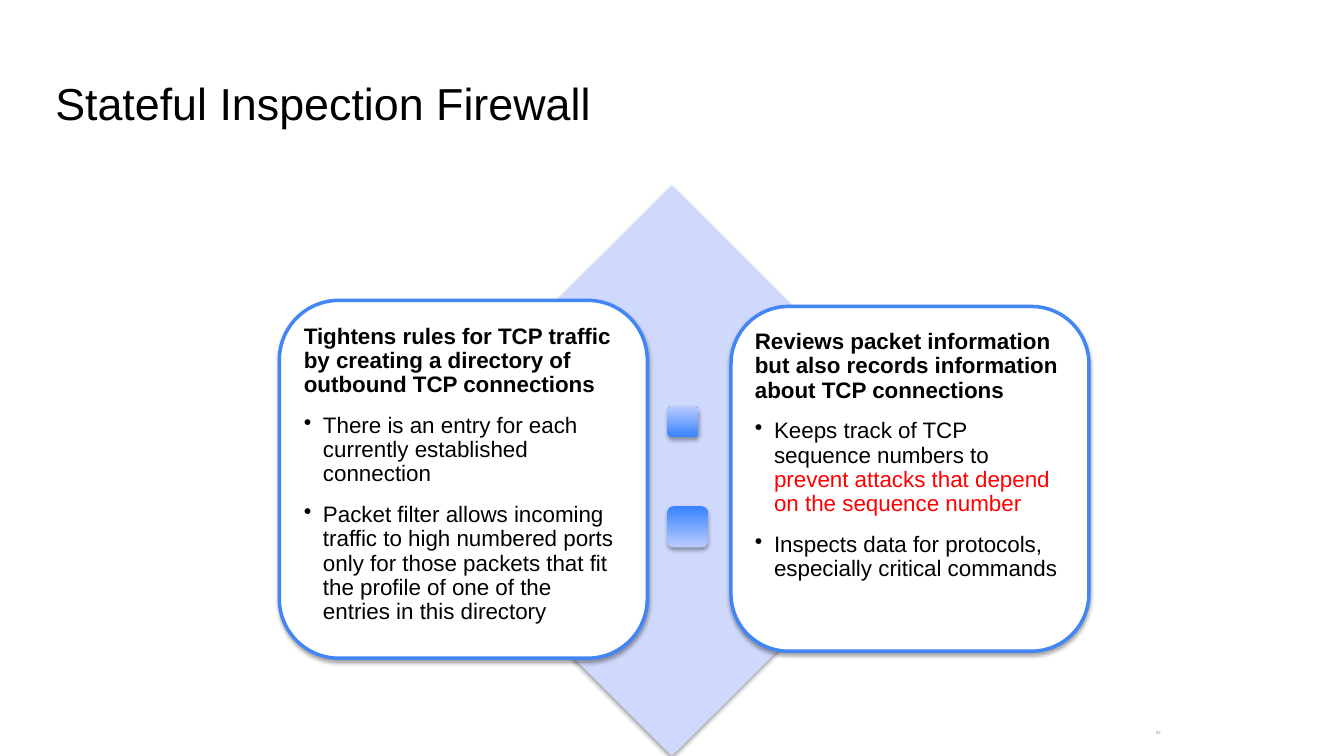
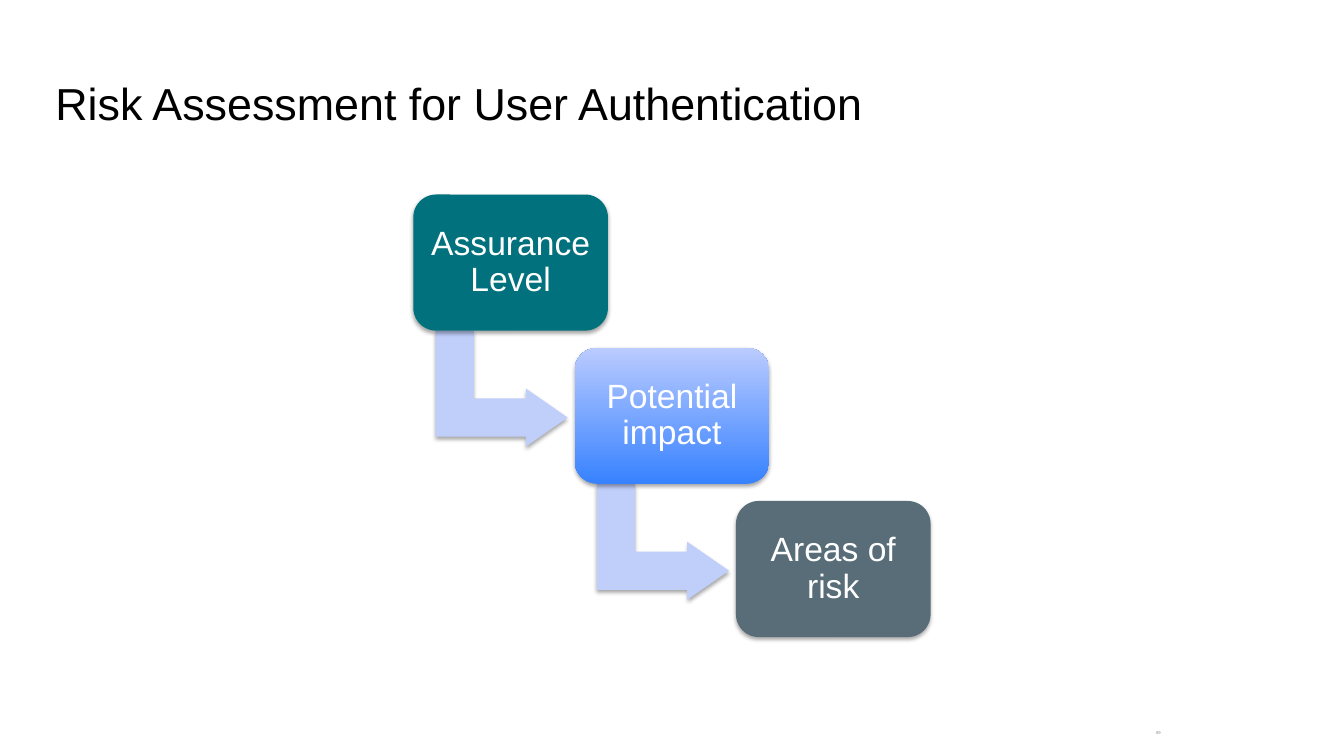
from lxml.etree import SubElement
from pptx import Presentation
from pptx.dml.color import RGBColor
from pptx.enum.shapes import MSO_SHAPE as Preset
from pptx.enum.text import MSO_ANCHOR as Anchor, PP_ALIGN as Align
from pptx.oxml.ns import qn
from pptx.util import Pt

PX = 9144
SLIDE_SIZE = (1333, 750)

BLACK = RGBColor(0x00, 0x00, 0x00)
WHITE = RGBColor(0xFF, 0xFF, 0xFF)
RED = RGBColor(0xFF, 0x00, 0x00)
GRAY = RGBColor(0x8C, 0x8C, 0x8C)
BLUE = RGBColor(0x42, 0x85, 0xF4)
TEAL = RGBColor(0x00, 0x71, 0x7D)
SLATE = RGBColor(0x58, 0x6D, 0x77)
PALE_DIAMOND = RGBColor(0xCF, 0xD9, 0xFB)
PALE_ARROW = RGBColor(0xC0, 0xCE, 0xFA)
GRADIENT_COLORS = (RGBColor(0x37, 0x82, 0xFF), RGBColor(0xBB, 0xCB, 0xFF))
UPWARD, DOWNWARD = 90, 270

TITLE_FONT = {"name": "Arial", "size": Pt(32), "color": BLACK}
NUMBER_FONT = {"name": "Arial", "size": Pt(3), "color": GRAY}
STEP_FONT = {"name": "Arial", "size": Pt(24), "color": WHITE}
CARD_FONT = {"name": "Arial", "size": Pt(16), "color": BLACK}
HEADING_FONT = {**CARD_FONT, "bold": True}
ALERT_FONT = {**CARD_FONT, "color": RED}

TITLE_FORMAT = {"alignment": Align.LEFT}
NUMBER_FORMAT = {"alignment": Align.RIGHT, "line_spacing": 0.8}
STEP_FORMAT = {"alignment": Align.CENTER, "line_spacing": 0.9}
CARD_FORMAT = {"alignment": Align.LEFT, "line_spacing": 0.9, "space_after": Pt(12)}

CARDS = [
    ((277, 298, 365, 355),
     "Tightens rules for TCP traffic by creating a directory of outbound TCP connections",
     [[("There is an entry for each currently established connection", CARD_FONT)],
      [("Packet filter allows incoming traffic to high numbered ports only for those "
        "packets that fit the profile of one of the entries in this directory", CARD_FONT)]]),
    ((725, 304, 355, 342),
     "Reviews packet information but also records information about TCP connections",
     [[("Keeps track of TCP sequence numbers to ", CARD_FONT),
       ("prevent attacks that depend on the sequence number", ALERT_FONT)],
      [("Inspects data for protocols, especially critical commands", CARD_FONT)]]),
]
STEPS = [("Assurance Level", TEAL), ("Potential impact", UPWARD), ("Areas of risk", SLATE)]


def emu(*lengths):
    return [length * PX for length in lengths]


def set_values(target, values):
    for name, value in values.items():
        if name == "color":
            target.color.rgb = value
        else:
            setattr(target, name, value)


def set_frame(frame, anchor, inset):
    margins = {f"margin_{side}": inset * PX for side in ("left", "top", "right", "bottom")}
    set_values(frame, {"word_wrap": True, "vertical_anchor": anchor, **margins})


def write_paragraph(paragraph, runs, values, bullet=False):
    if bullet:
        properties = paragraph._p.get_or_add_pPr()
        properties.set("marL", str(19 * PX))
        properties.set("indent", str(-19 * PX))
        SubElement(properties, qn("a:buChar"), char="•")
    set_values(paragraph, values)
    for text, font in runs:
        run = paragraph.add_run()
        run.text = text
        set_values(run.font, font)


def add_text(slide, box, text, font, values, anchor=Anchor.TOP, inset=10):
    frame = slide.shapes.add_textbox(*emu(*box)).text_frame
    set_frame(frame, anchor, inset)
    write_paragraph(frame.paragraphs[0], [(text, font)], values)


def paint(shape, fill):
    if isinstance(fill, RGBColor):
        shape.fill.solid()
        shape.fill.fore_color.rgb = fill
        return
    shape.fill.gradient()
    shape.fill.gradient_angle = fill
    for stop, color in zip(shape.fill.gradient_stops, GRADIENT_COLORS):
        stop.color.rgb = color


def add_shadow(shape):
    shape.shadow.inherit = False
    effects = shape._element.spPr.find(qn("a:effectLst"))
    shadow = SubElement(effects, qn("a:outerShdw"), blurRad=str(Pt(3.1)),
                        dist=str(Pt(1.8)), dir="5400000", rotWithShape="0")
    color = SubElement(shadow, qn("a:srgbClr"), val="000000")
    SubElement(color, qn("a:alpha"), val="35000")


def add_panel(slide, preset, box, fill, outline=None):
    shape = slide.shapes.add_shape(preset, *emu(*box))
    paint(shape, fill)
    if outline is None:
        shape.line.fill.background()
    else:
        shape.line.color.rgb = outline
        shape.line.width = Pt(2.5)
    add_shadow(shape)
    return shape


def add_card(slide, box, heading, bullets):
    frame = add_panel(slide, Preset.ROUNDED_RECTANGLE, box, WHITE, BLUE).text_frame
    set_frame(frame, Anchor.TOP, 7)
    write_paragraph(frame.paragraphs[0], [(heading, HEADING_FONT)], CARD_FORMAT)
    for runs in bullets:
        write_paragraph(frame.add_paragraph(), runs, CARD_FORMAT, bullet=True)


def add_arrow(slide, left, top):
    arrow = add_panel(slide, Preset.BENT_UP_ARROW, (left, top, 115, 131), PALE_ARROW)
    arrow.rotation = 90
    for index, value in enumerate((0.33, 0.25, 0.36)):
        arrow.adjustments[index] = value


def add_step(slide, left, top, text, fill):
    box = (left, top, 193, 135)
    frame = add_panel(slide, Preset.ROUNDED_RECTANGLE, box, fill).text_frame
    set_frame(frame, Anchor.MIDDLE, 10)
    write_paragraph(frame.paragraphs[0], [(text, STEP_FONT)], STEP_FORMAT)


def add_titled_slide(presentation, title, number):
    slide = presentation.slides.add_slide(presentation.slide_layouts[6])
    add_text(slide, (45, 65, 1242, 84), title, TITLE_FONT, TITLE_FORMAT)
    add_text(slide, (1093, 720, 68, 15), number, NUMBER_FONT, NUMBER_FORMAT, Anchor.MIDDLE)
    return slide


def build_firewall_slide(presentation):
    slide = add_titled_slide(presentation, "Stateful Inspection Firewall", "82")
    add_panel(slide, Preset.DIAMOND, (383, 184, 567, 566), PALE_DIAMOND)
    for box, heading, bullets in CARDS:
        add_card(slide, box, heading, bullets)
    add_panel(slide, Preset.ROUNDED_RECTANGLE, (662, 403, 31, 31), UPWARD)
    add_panel(slide, Preset.ROUNDED_RECTANGLE, (662, 502, 40, 41), DOWNWARD)


def build_risk_slide(presentation):
    slide = add_titled_slide(presentation, "Risk Assessment for User Authentication", "89")
    for index, (text, fill) in enumerate(STEPS):
        left, top = 410 + index * 160, 193 + index * 152
        if index < len(STEPS) - 1:
            add_arrow(slide, left + 30, top + 127)
        add_step(slide, left, top, text, fill)


def main():
    presentation = Presentation()
    presentation.slide_width, presentation.slide_height = emu(*SLIDE_SIZE)
    build_firewall_slide(presentation)
    build_risk_slide(presentation)
    presentation.save("out.pptx")


if __name__ == "__main__":
    main()
